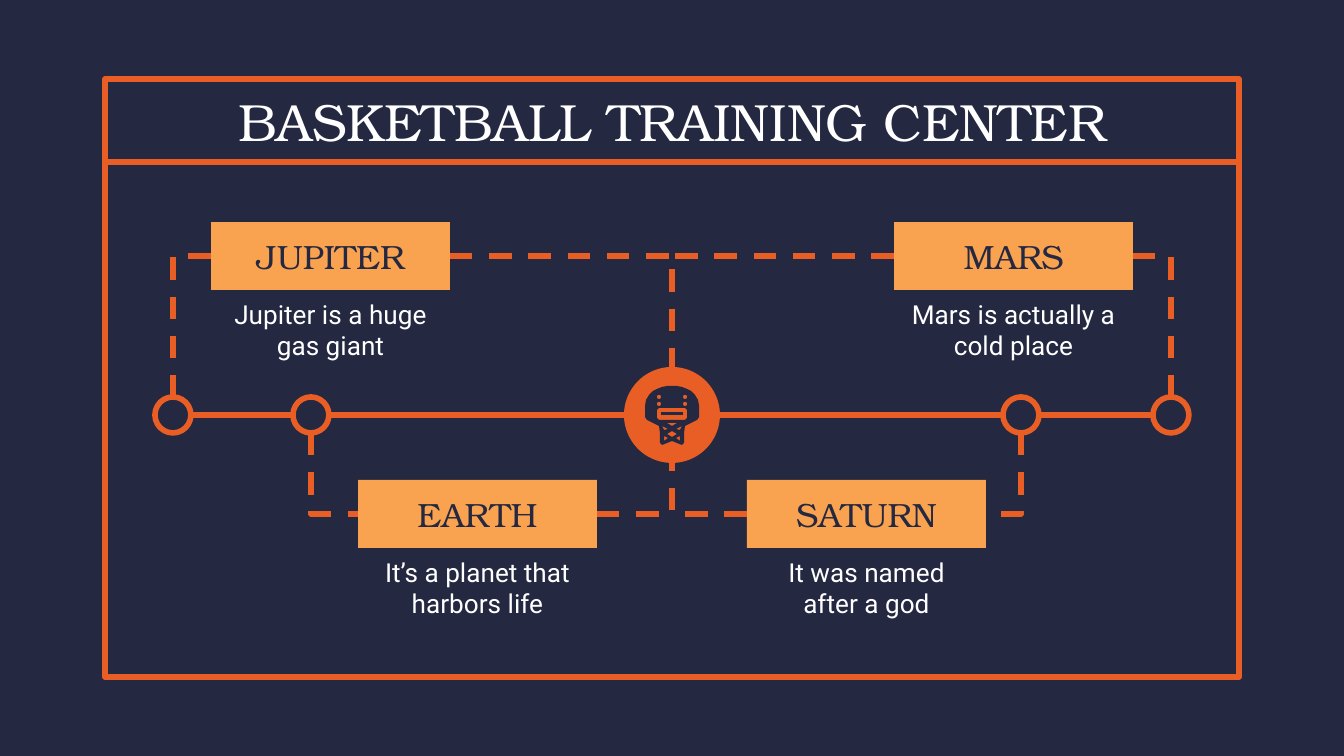
from lxml import etree
from pptx import Presentation, util as u
from pptx.dml.color import RGBColor
from pptx.enum import dml, shapes, text
from pptx.oxml import ns

PX = 914400 / 134.4  # EMU in one px
NAVY, ORANGE, AMBER, WHITE = "242841", "E95E24", "F9A350", "FFFFFF"
SERIF, SANS = "TeX Gyre Bonum", "Roboto"
CENTER_X, AXIS_Y = 672, 415
CARD_W, CARD_H = 239, 68
RING, HUB = 36, 96
# Connection sites of rectangles and ellipses
RECT_SITES = {"left": 1, "right": 3}
OVAL_SITES = {"top": 0, "left": 2, "bottom": 4, "right": 6}

# Card name, description, left, top
CARDS = [
    ("JUPITER", "Jupiter is a huge gas giant", 211, 222),
    ("MARS", "Mars is actually a cold place", 894, 222),
    ("EARTH", "It’s a planet that harbors life", 358, 480),
    ("SATURN", "It was named after a god", 747, 480),
]
# Centre of the ring that belongs to each card
RING_X = {"JUPITER": 173, "EARTH": 311, "SATURN": 1021, "MARS": 1171}


def px(value):
    return u.Emu(round(value * PX))


def color(value):
    return RGBColor.from_string(value)


def style_line(line, dashed=False):
    line.color.rgb = color(ORANGE)
    line.width = u.Pt(3)
    if dashed:
        line.dash_style = dml.MSO_LINE.DASH


def add_shape(page, kind, left, top, width, height, fill=None, outlined=False):
    shape = page.shapes.add_shape(kind, px(left), px(top), px(width), px(height))
    paint(shape, fill, outlined)
    return shape


def paint(shape, fill, outlined=False):
    shape.shadow.inherit = False
    if fill:
        shape.fill.solid()
        shape.fill.fore_color.rgb = color(fill)
    else:
        shape.fill.background()
    if outlined:
        style_line(shape.line)
    else:
        shape.line.fill.background()


def write(box, words, size, font, ink, anchor, after=0):
    frame = box.text_frame
    frame.word_wrap = True
    frame.auto_size = text.MSO_AUTO_SIZE.NONE
    frame.vertical_anchor = anchor
    frame.margin_left = frame.margin_right = u.Inches(0.1)
    frame.margin_top = frame.margin_bottom = u.Inches(0.1)
    para = frame.paragraphs[0]
    para.alignment = text.PP_ALIGN.CENTER
    para.space_before, para.space_after = u.Pt(0), u.Pt(after)
    span = para.add_run()
    span.text = words
    span.font.size, span.font.name = u.Pt(size), font
    span.font.bold = False
    span.font.color.rgb = color(ink)


def add_line(page, kind, x1, y1, x2, y2, dashed=False):
    line = page.shapes.add_connector(kind, px(x1), px(y1), px(x2), px(y2))
    style_line(line.line, dashed)
    etree.SubElement(line.element.spPr, ns.qn("a:effectLst"))
    return line


def glue(line, start, end):
    """Join both ends to (shape, site) without moving them."""
    links = line.element.find(".//" + ns.qn("p:cNvCxnSpPr"))
    for tag, (shape, site) in (("a:stCxn", start), ("a:endCxn", end)):
        link = etree.SubElement(links, ns.qn(tag))
        link.set("id", str(shape.shape_id))
        link.set("idx", str(site))


def add_elbow(page, x1, y1, x2, y2, start, end, vertical_first=False):
    """Dashed line with one corner; a quarter turn makes it leave vertically."""
    if vertical_first:
        mid_x, mid_y = (x1 + x2) / 2, (y1 + y2) / 2
        half_w, half_h = (y2 - y1) / 2, abs(x2 - x1) / 2
        turn = 270 if x2 > x1 else 90
        if turn == 270:
            half_w = -half_w
        x1, x2 = mid_x - half_w, mid_x + half_w
        y1, y2 = mid_y - half_h, mid_y + half_h
    line = add_line(page, shapes.MSO_CONNECTOR.ELBOW, x1, y1, x2, y2, dashed=True)
    line.element.spPr.find(ns.qn("a:prstGeom")).set("prst", "bentConnector2")
    if vertical_first:
        line.element.spPr.find(ns.qn("a:xfrm")).set("rot", str(turn * 60000))
    glue(line, start, end)


def add_circle(page, center_x, size, fill, outlined=False):
    return add_shape(page, shapes.MSO_SHAPE.OVAL, center_x - size / 2,
                     AXIS_Y - size / 2, size, size, fill, outlined)


def add_card(page, name, description, left, top):
    card = add_shape(page, shapes.MSO_SHAPE.RECTANGLE, left, top, CARD_W, CARD_H, AMBER)
    write(card, name, 18, SERIF, NAVY, text.MSO_ANCHOR.BOTTOM, after=12)
    box = page.shapes.add_textbox(px(left), px(top + 63), px(CARD_W), px(84))
    write(box, description, 14, SANS, WHITE, text.MSO_ANCHOR.TOP)
    return card


def add_outline(page, contours):
    """Filled shape from contours given as offsets from the centre line."""
    first, *rest = contours
    pen = page.shapes.build_freeform(*first[0], scale=PX)
    pen.add_line_segments(first[1:], close=True)
    for contour in rest:
        pen.move_to(*contour[0])
        pen.add_line_segments(contour[1:], close=True)
    paint(pen.convert_to_shape(px(CENTER_X), 0), NAVY)


def mirrored(points):
    return [(-x, y) for x, y in points]


def add_hoop_icon(page):
    right = [(0, 386), (5, 386), (10, 387), (15, 389), (19, 391), (23, 395),
             (26, 400), (27, 406), (27, 417), (25, 420), (13, 426), (12, 433),
             (12, 443), (10, 445), (0, 441)]
    window = [(-13, 408), (13, 408), (15, 410), (15, 418), (13, 420),
              (-13, 420), (-15, 418), (-15, 410)]
    net_middle = [[(-5, 423), (5, 423), (0, 426)],
                  [(0, 431), (5, 434), (0, 437), (-5, 434)]]
    sides = [[(10, 426), (4, 429), (8, 430)], [(8, 436), (8, 441), (4, 438)]]
    octagon = [(-1, -2), (1, -2), (2, -1), (2, 1), (1, 2), (-1, 2), (-2, 1), (-2, -1)]
    sides += [[(13 + x, y + dy) for x, dy in octagon] for y in (397, 404)]
    add_outline(page, [right + mirrored(right[-2:0:-1]), window, *net_middle,
                       *sides, *map(mirrored, sides)])
    add_outline(page, [[(-11, 412), (11, 412), (11, 415), (-11, 415)]])


def add_frame(page):
    frame = add_shape(page, shapes.MSO_SHAPE.RECTANGLE, 105, 79, 1134, 598, outlined=True)
    etree.SubElement(frame.line.fill._xPr, ns.qn("a:round"))
    add_line(page, shapes.MSO_CONNECTOR.STRAIGHT, 107, 162, 1237, 162)
    title = page.shapes.title
    title.left, title.top, title.width, title.height = px(105), px(79), px(1134), px(84)
    write(title, "BASKETBALL TRAINING CENTER", 28, SERIF, WHITE, text.MSO_ANCHOR.MIDDLE)


def add_axis(page, hub, rings):
    """Solid lines through the rings and the hub, from left to right."""
    stops = [(RING_X[name], RING, rings[name]) for name in RING_X]
    stops.insert(2, (CENTER_X, HUB, hub))
    for (x1, size1, start), (x2, size2, end) in zip(stops, stops[1:]):
        line = add_line(page, shapes.MSO_CONNECTOR.STRAIGHT,
                        x1 + size1 / 2, AXIS_Y, x2 - size2 / 2, AXIS_Y)
        glue(line, (start, OVAL_SITES["right"]), (end, OVAL_SITES["left"]))


def add_branches(page, name, left, top, card, ring, hub):
    """Dashed elbows from a card to its ring and to the hub."""
    middle = top + CARD_H / 2
    above = middle < AXIS_Y
    way, side = (-1, "top") if above else (1, "bottom")
    edges = {"left": left, "right": left + CARD_W}
    outer, inner = ("left", "right") if left < CENTER_X else ("right", "left")
    card_end = (edges[outer], middle)
    ring_end = (RING_X[name], AXIS_Y + way * RING / 2)
    card_site, ring_site = (card, RECT_SITES[outer]), (ring, OVAL_SITES[side])
    if above:
        add_elbow(page, *card_end, *ring_end, card_site, ring_site)
    else:
        add_elbow(page, *ring_end, *card_end, ring_site, card_site, vertical_first=True)
    add_elbow(page, edges[inner], middle, CENTER_X, AXIS_Y + way * HUB / 2,
              (card, RECT_SITES[inner]), (hub, OVAL_SITES[side]))


def main():
    deck = Presentation()
    deck.slide_width, deck.slide_height = px(1344), px(756)
    page = deck.slides.add_slide(deck.slide_layouts[5])
    page.background.fill.solid()
    page.background.fill.fore_color.rgb = color(NAVY)

    # Frame and title
    add_frame(page)

    # Cards, rings and hub
    cards = {card[0]: add_card(page, *card) for card in CARDS}
    hub = add_circle(page, CENTER_X, HUB, ORANGE)
    rings = {name: add_circle(page, x, RING, NAVY, True) for name, x in RING_X.items()}

    # Lines between them
    add_axis(page, hub, rings)
    for name, _, left, top in CARDS:
        add_branches(page, name, left, top, cards[name], rings[name], hub)

    # Hoop in the hub
    add_hoop_icon(page)
    deck.save("out.pptx")


if __name__ == "__main__":
    main()
